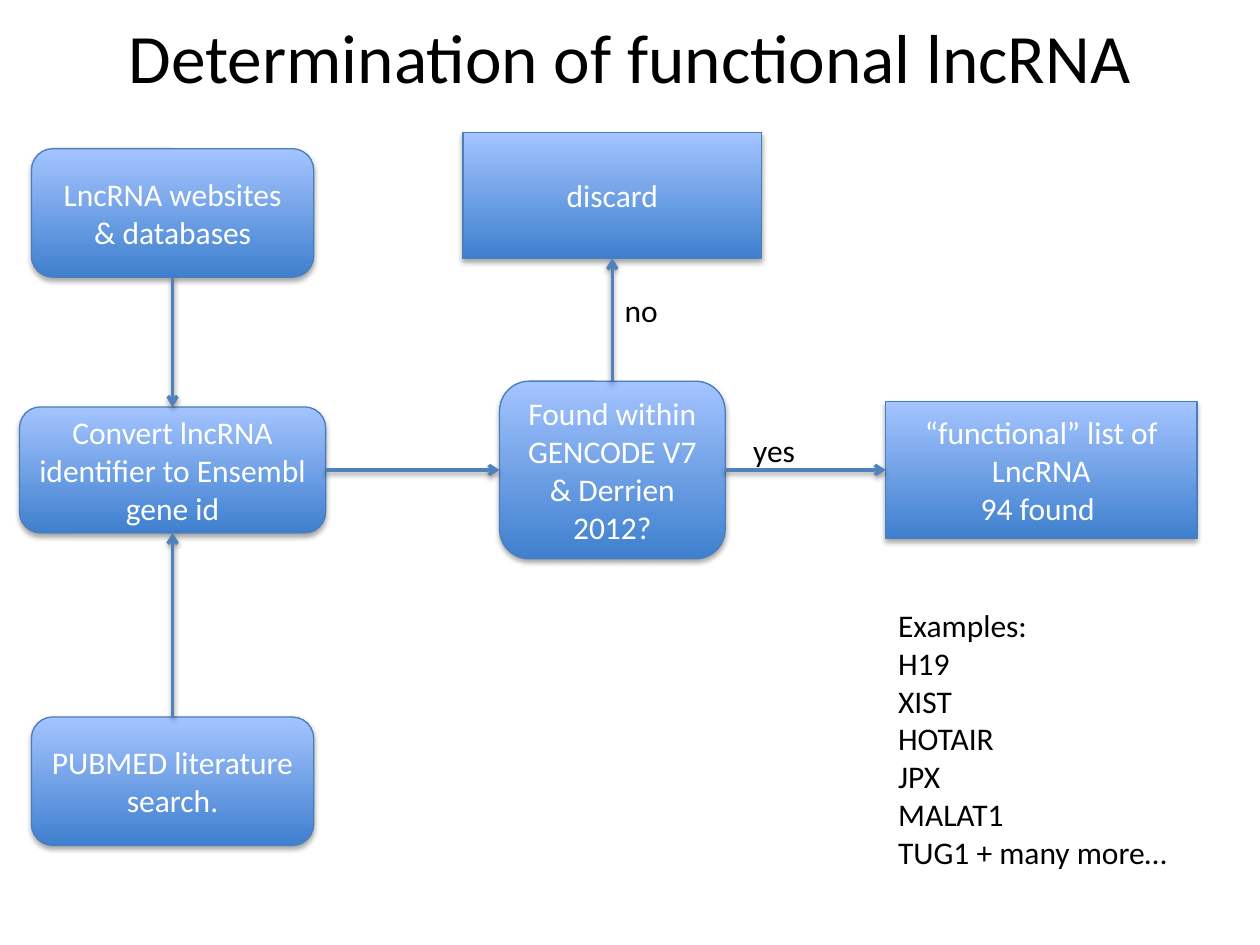
from dataclasses import dataclass

from lxml.etree import SubElement
from pptx import Presentation
from pptx.dml.color import RGBColor
from pptx.enum.shapes import MSO_CONNECTOR, MSO_SHAPE
from pptx.enum.text import MSO_ANCHOR, PP_ALIGN
from pptx.oxml.ns import qn
from pptx.util import Inches, Pt

# The slide is a grid of 100 columns by 75 rows
WIDTH, HEIGHT = Inches(10), Inches(7.5)
COLS, ROWS = 100, 75

LEFT, MID, RIGHT = 13.7, 48.6, 82.65  # column centres
LEVEL = 37.3  # row centre of the main flow

ROUND, RECT = MSO_SHAPE.ROUNDED_RECTANGLE, MSO_SHAPE.RECTANGLE
TOP, WEST, BOTTOM, EAST = range(4)  # connection sites


@dataclass
class Node:
    name: str
    form: MSO_SHAPE
    x: float  # centre
    y: float
    w: float
    h: float
    text: str


@dataclass
class Link:
    start: str
    out: int
    end: str
    into: int


@dataclass
class Label:
    x: float  # top left
    y: float
    w: float
    h: float
    text: str


NODES = [
    Node("sites", ROUND, LEFT, 16.9, 22.4, 10.2, "LncRNA websites & databases"),
    Node("papers", ROUND, LEFT, 62, 22.4, 10.2, "PUBMED literature search."),
    Node("convert", ROUND, LEFT, LEVEL, 24.3, 10,
         "Convert lncRNA identifier to Ensembl gene id"),
    Node("found", ROUND, MID, LEVEL, 17.9, 14.1,
         "Found within GENCODE V7 & Derrien 2012?"),
    Node("list", RECT, RIGHT, LEVEL, 24.7, 10.9,
         "“functional” list of LncRNA\n94 found "),
    Node("discard", RECT, MID, 15.5, 23.7, 10, "discard"),
]
LINKS = [
    Link("sites", BOTTOM, "convert", TOP),
    Link("papers", TOP, "convert", BOTTOM),
    Link("convert", EAST, "found", WEST),
    Link("found", EAST, "list", WEST),
    Link("found", TOP, "discard", BOTTOM),
]
LABELS = [
    Label(70.3, 47.6, 23.7, 22.2,
          "Examples:\nH19\nXIST\nHOTAIR\nJPX\nMALAT1\nTUG1 + many more…"),
    Label(48.6, 22.6, 8.2, 4, "no"),
    Label(58.8, 33.7, 8, 4, "yes"),
]


def tint(code: str) -> RGBColor:
    return RGBColor.from_string(code)


def place(x: float, y: float, w: float, h: float) -> list[int]:
    """Turn grid columns and rows into slide lengths."""
    col, row = WIDTH / COLS, HEIGHT / ROWS
    return [round(v) for v in (x * col, y * row, w * col, h * row)]


def write(shape, text: str, color: str, size: float, align, anchor) -> None:
    frame = shape.text_frame
    for key, value in {"word_wrap": True, "vertical_anchor": anchor}.items():
        setattr(frame, key, value)
    frame.text = text
    for para in frame.paragraphs:
        para.alignment = align
        for key, value in {"name": "Calibri", "size": Pt(size)}.items():
            setattr(para.font, key, value)
        para.font.color.rgb = tint(color)


def stroke(shape, color: str, width: float) -> None:
    shape.line.color.rgb = tint(color)
    shape.line.width = Pt(width)


def shade(shape, dist: float, alpha: int) -> None:
    """Drop a soft black shadow straight down."""
    props = shape.element.spPr
    effects = props.find(qn("a:effectLst"))
    if effects is None:
        effects = SubElement(props, qn("a:effectLst"))
    outer = SubElement(effects, qn("a:outerShdw"), blurRad=str(Pt(3.1)),
                       dist=str(Pt(dist)), dir="5400000", rotWithShape="0")
    black = SubElement(outer, qn("a:srgbClr"), val="000000")
    SubElement(black, qn("a:alpha"), val=str(alpha * 1000))


def add_node(slide, node: Node):
    box = slide.shapes.add_shape(node.form, *place(
        node.x - node.w / 2, node.y - node.h / 2, node.w, node.h))
    box.fill.gradient()
    box.fill.gradient_angle = 90
    for stop, code in zip(box.fill.gradient_stops, ("3F80CE", "A4C4FF")):
        stop.color.rgb = tint(code)
    stroke(box, "4B7EBC", 0.75)
    box.shadow.inherit = False
    shade(box, 1.8, 35)
    write(box, node.text, "FFFFFF", 18, PP_ALIGN.CENTER, MSO_ANCHOR.MIDDLE)
    return box


def add_link(slide, link: Link, boxes: dict) -> None:
    line = slide.shapes.add_connector(MSO_CONNECTOR.STRAIGHT, 0, 0, 0, 0)
    line.begin_connect(boxes[link.start], link.out)
    line.end_connect(boxes[link.end], link.into)
    stroke(line, "4F81BD", 2)
    SubElement(line.element.spPr.find(qn("a:ln")), qn("a:tailEnd"), type="arrow")
    shade(line, 1.6, 38)


def add_label(slide, label: Label, size: float = 18,
              align=PP_ALIGN.LEFT, anchor=MSO_ANCHOR.TOP) -> None:
    box = slide.shapes.add_textbox(*place(label.x, label.y, label.w, label.h))
    write(box, label.text, "000000", size, align, anchor)


def main() -> None:
    deck = Presentation()
    deck.slide_width, deck.slide_height = WIDTH, HEIGHT
    slide = deck.slides.add_slide(deck.slide_layouts[6])

    # Title
    title = Label(5, 0, 90, 8.8, "Determination of functional lncRNA")
    add_label(slide, title, 39.6, PP_ALIGN.CENTER, MSO_ANCHOR.MIDDLE)

    # Flow chart
    boxes = {node.name: add_node(slide, node) for node in NODES}
    for link in LINKS:
        add_link(slide, link, boxes)

    # Branch names and examples
    for label in LABELS:
        add_label(slide, label)

    deck.save("out.pptx")


if __name__ == "__main__":
    main()
